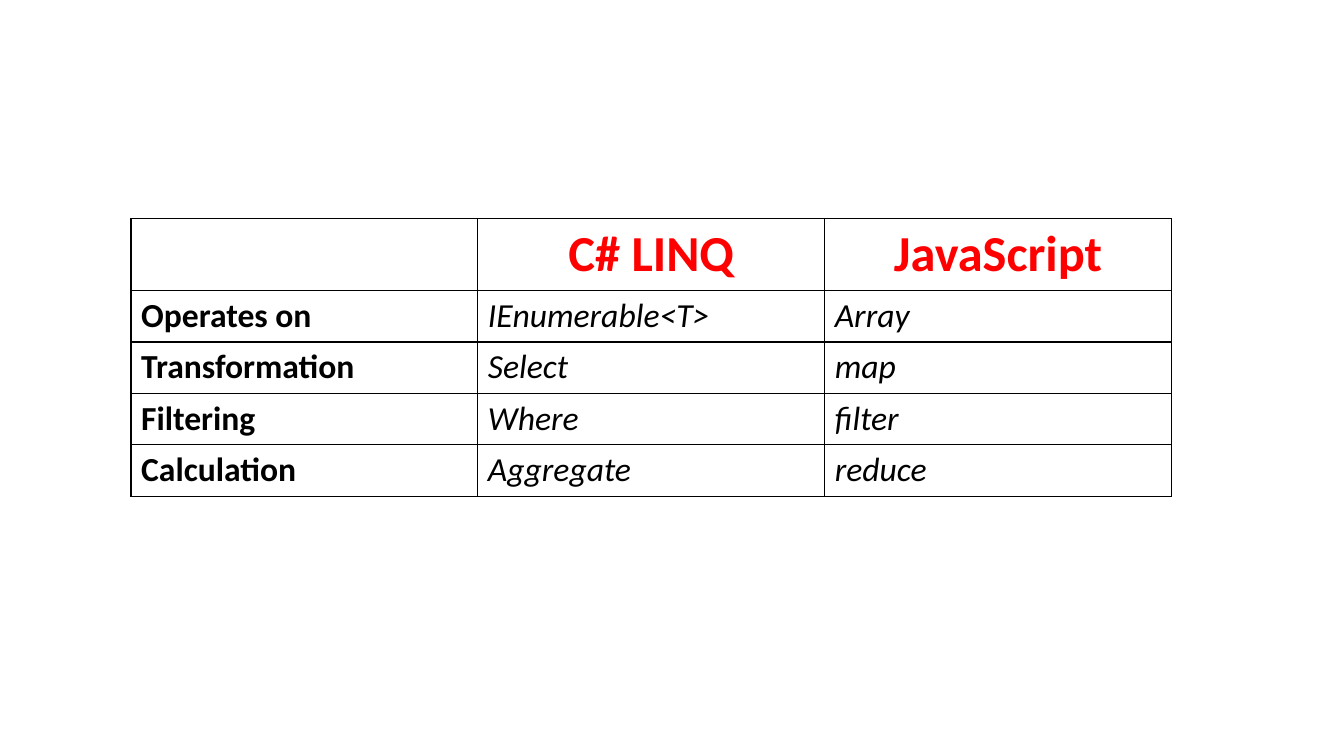
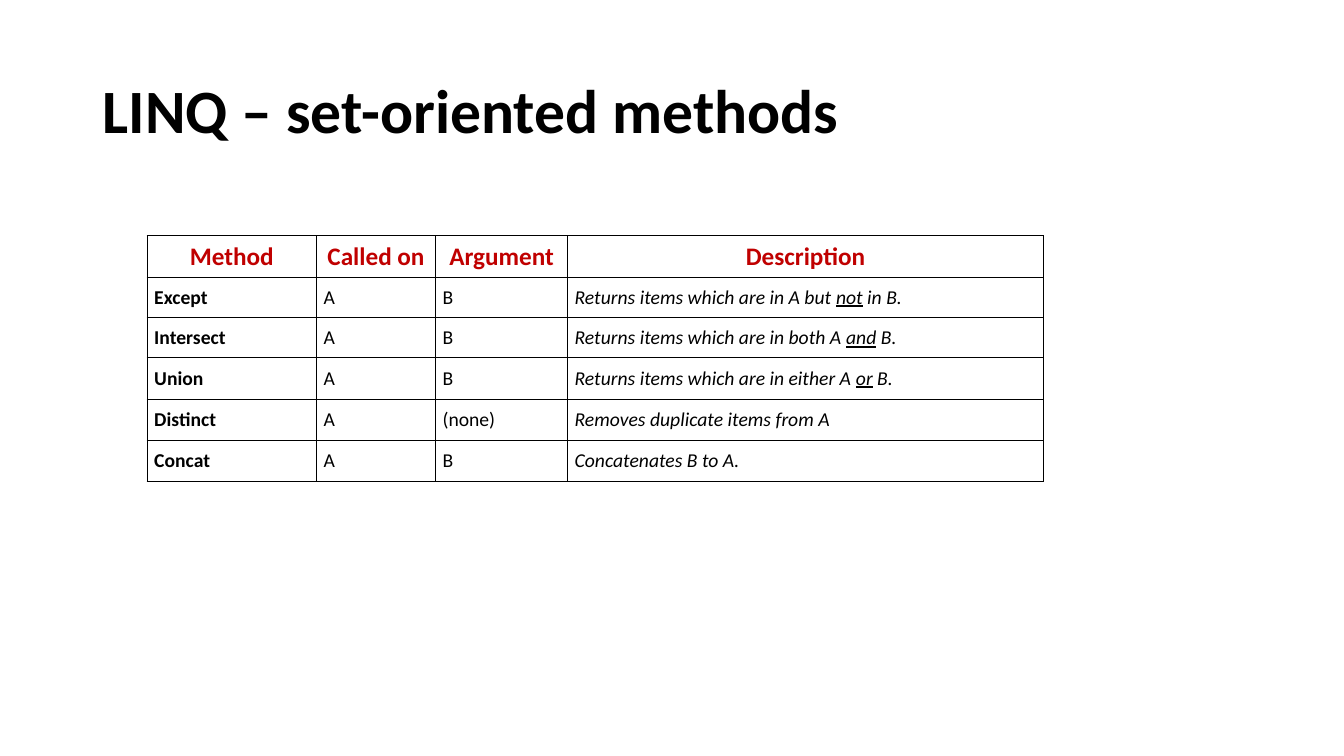
"""Build two slides of tables that compare LINQ methods."""
from lxml import etree
from pptx import Presentation
from pptx.dml.color import RGBColor
from pptx.enum.text import MSO_ANCHOR, PP_ALIGN
from pptx.oxml.ns import qn
from pptx.util import Pt

TOP, MIDDLE = MSO_ANCHOR.TOP, MSO_ANCHOR.MIDDLE
LEFT, CENTER = PP_ALIGN.LEFT, PP_ALIGN.CENTER
PX = 9144
FONT = "Calibri"
COLORS = {"text": "000000", "border": "000000", "red": "FF0000", "dark_red": "C00000"}
BORDERS = ("a:lnL", "a:lnR", "a:lnT", "a:lnB")

BOLD = {"bold": True, "italic": False}
PLAIN = {"bold": False, "italic": False}
ITALIC = {"bold": False, "italic": True}

SLIDES = [
    {
        "title": None,
        "table": {
            "at": (130, 217),
            "columns": (344, 344, 344),
            "rows": (71, 51, 51, 51, 51),
            "header": {"size": Pt(36), "color": "red"},
            "body_size": Pt(24),
            "styles": (BOLD, ITALIC, ITALIC),
            "cell": {"vertical_anchor": TOP, "margin_left": 10 * PX, "margin_right": 10 * PX,
                     "margin_top": 5 * PX, "margin_bottom": 5 * PX},
            "content": [
                ("", "C# LINQ", "JavaScript"),
                ("Operates on", "IEnumerable<T>", "Array"),
                ("Transformation", "Select", "map"),
                ("Filtering", "Where", "filter"),
                ("Calculation", "Aggregate", "reduce"),
            ],
        },
    },
    {
        "title": "LINQ – set-oriented methods",
        "table": {
            "at": (146, 234),
            "columns": (168, 118, 131, 472),
            "rows": (41, 40, 40, 41, 41, 41),
            "header": {"size": Pt(18), "color": "dark_red"},
            "body_size": Pt(14),
            "styles": (BOLD, PLAIN, PLAIN, ITALIC),
            "cell": {"vertical_anchor": MIDDLE, "margin_left": 7 * PX, "margin_right": 7 * PX,
                     "margin_top": 0, "margin_bottom": 0},
            "content": [
                ("Method", "Called on", "Argument", "Description"),
                ("Except", "A", "B", "Returns items which are in A but _not_ in B."),
                ("Intersect", "A", "B", "Returns items which are in both A _and_ B."),
                ("Union", "A", "B", "Returns items which are in either A _or_ B."),
                ("Distinct", "A", "(none)", "Removes duplicate items from A"),
                ("Concat", "A", "B", "Concatenates B to A."),
            ],
        },
    },
]


def apply(target, values):
    """Set each attribute in values on target."""
    for name, value in values.items():
        setattr(target, name, value)


def write(para, text, color, values):
    """Add runs to para, underlining the parts between underscores."""
    for index, part in enumerate(text.split("_")):
        if part:
            span = para.add_run()
            span.text = part
            apply(span.font, {"name": FONT, **values})
            span.font.color.rgb = RGBColor.from_string(COLORS[color])
            if index % 2:
                span.font.underline = True


def add_borders(cell):
    """Draw a thin line on all four sides of a cell."""
    properties = cell._tc.get_or_add_tcPr()
    for index, tag in enumerate(BORDERS):
        line = etree.Element(qn(tag), w=str(Pt(1)))
        fill = etree.SubElement(line, qn("a:solidFill"))
        etree.SubElement(fill, qn("a:srgbClr"), val=COLORS["border"])
        properties.insert(index, line)


def add_title(page, text):
    """Add the slide title."""
    box = page.shapes.add_textbox(92 * PX, 40 * PX, 1150 * PX, 145 * PX)
    apply(box.text_frame, {"word_wrap": True, "vertical_anchor": MIDDLE})
    para = box.text_frame.paragraphs[0]
    para.line_spacing = 0.9
    write(para, text, "text", {"size": Pt(44), "bold": True})


def add_table(page, spec_values):
    """Add a bordered table with a centred, coloured header row."""
    columns, rows = spec_values["columns"], spec_values["rows"]
    left, top = spec_values["at"]
    table = page.shapes.add_table(
        len(rows), len(columns), left * PX, top * PX, sum(columns) * PX, sum(rows) * PX
    ).table
    apply(table, {"first_row": False, "horz_banding": False})
    for column, width in zip(table.columns, columns):
        column.width = width * PX
    for row, height in zip(table.rows, rows):
        row.height = height * PX
    header = spec_values["header"]
    for row_index, texts in enumerate(spec_values["content"]):
        for column_index, text in enumerate(texts):
            cell = table.cell(row_index, column_index)
            apply(cell, spec_values["cell"])
            cell.fill.background()
            add_borders(cell)
            para = cell.text_frame.paragraphs[0]
            if row_index == 0:
                para.alignment = CENTER
                write(para, text, header["color"], {"size": header["size"], **BOLD})
            else:
                para.alignment = LEFT
                style = spec_values["styles"][column_index]
                write(para, text, "text", {"size": spec_values["body_size"], **style})


def main():
    """Build and save the deck."""
    deck = Presentation()
    apply(deck, {"slide_width": 1333 * PX, "slide_height": 750 * PX})
    for content in SLIDES:
        page = deck.slides.add_slide(deck.slide_layouts[6])
        if content["title"]:
            add_title(page, content["title"])
        add_table(page, content["table"])
    deck.save("out.pptx")


if __name__ == "__main__":
    main()
